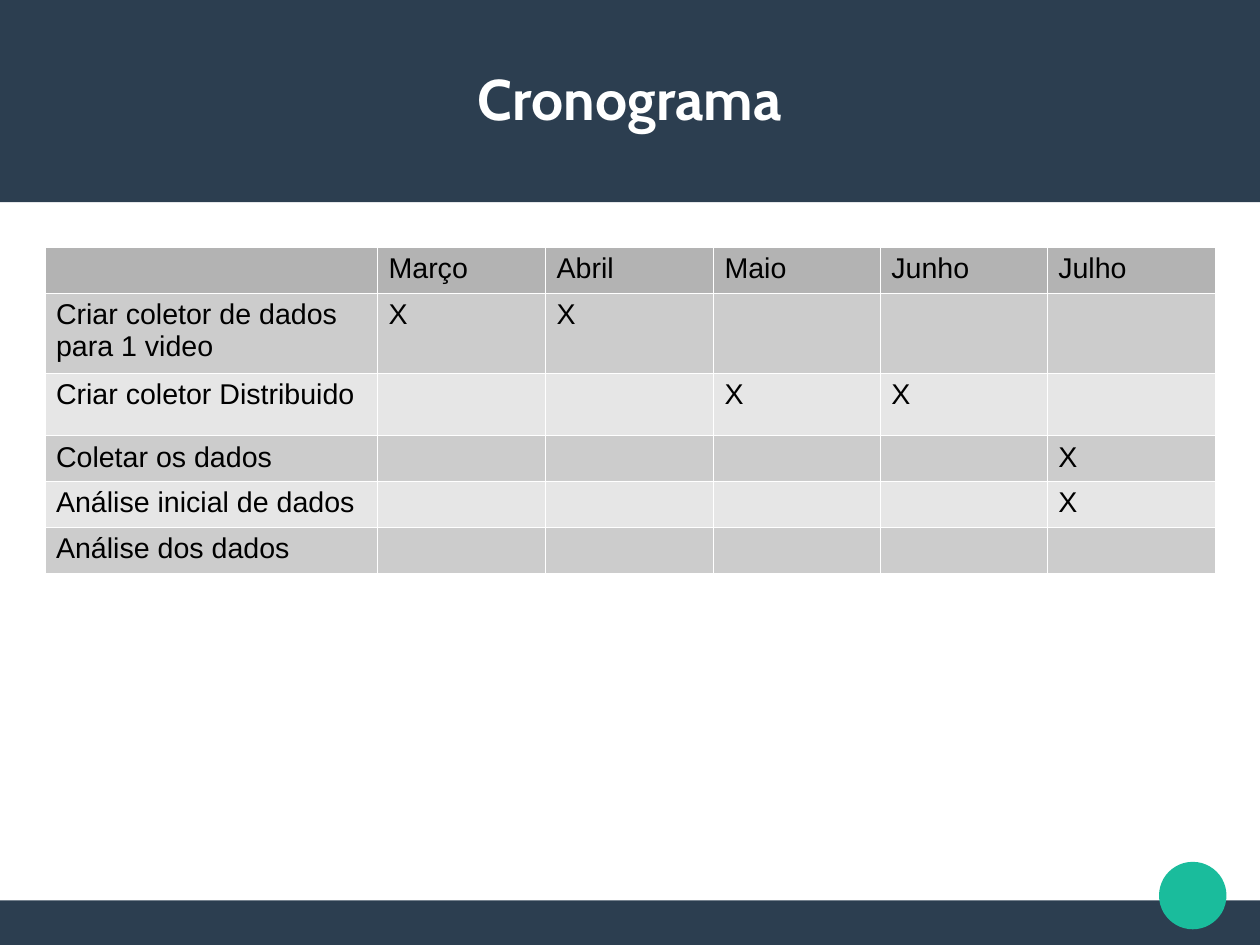
"""Build the project schedule slide with its month-by-month task table."""
import pptx
import pptx.dml.color
import pptx.enum.shapes
import pptx.enum.text
import pptx.oxml
import pptx.oxml.ns
import pptx.util
from pptx.util import Inches

TITLE = "Cronograma"
MONTHS = ["Março", "Abril", "Maio", "Junho", "Julho"]
TASKS = [
    ("Criar coletor de dados para 1 video", ["Março", "Abril"], 0.66),
    ("Criar coletor Distribuido", ["Maio", "Junho"], 0.55),
    ("Coletar os dados", ["Julho"], 0.38),
    ("Análise inicial de dados", ["Julho"], 0.38),
    ("Análise dos dados", [], 0.38),
]
HEADER_HEIGHT = 0.38
COLUMN_WIDTHS = [2.91, 1.47, 1.47, 1.46, 1.46, 1.47]
TABLE_FONT = "Arial"
TABLE_SIZE = 18

NAVY = pptx.dml.color.RGBColor(0x2C, 0x3E, 0x50)
TEAL = pptx.dml.color.RGBColor(0x1A, 0xBC, 0x9C)
WHITE = pptx.dml.color.RGBColor(0xFF, 0xFF, 0xFF)
BLACK = pptx.dml.color.RGBColor(0, 0, 0)
HEADER_GRAY = pptx.dml.color.RGBColor(0xB3, 0xB3, 0xB3)
BAND_GRAYS = [
    pptx.dml.color.RGBColor(0xCC, 0xCC, 0xCC),
    pptx.dml.color.RGBColor(0xE6, 0xE6, 0xE6),
]
SHAPE = pptx.enum.shapes.MSO_SHAPE
ALIGN = pptx.enum.text.PP_ALIGN
NAMESPACE = pptx.oxml.ns.nsdecls("a")


def write_text(frame, text, *, font, size, color, bold=False, align=ALIGN.LEFT):
    paragraph = frame.paragraphs[0]
    paragraph.alignment = align
    if text:
        run = paragraph.add_run()
        run.text = text
        run.font.name = font
        run.font.size = pptx.util.Pt(size)
        run.font.bold = bold
        run.font.color.rgb = color
    paragraph._p.append(pptx.oxml.parse_xml(
        f'<a:endParaRPr {NAMESPACE} sz="{size * 100}"><a:latin typeface="{font}"/></a:endParaRPr>'
    ))


def add_filled_shape(slide, kind, box, color):
    shape = slide.shapes.add_shape(kind, *box)
    shape.shadow.inherit = False
    shape.fill.solid()
    shape.fill.fore_color.rgb = color
    shape.line.fill.background()


def add_borders(cell, color, width):
    properties = cell._tc.get_or_add_tcPr()
    for position, side in enumerate(["lnL", "lnR", "lnT", "lnB"]):
        border = pptx.oxml.parse_xml(
            f'<a:{side} {NAMESPACE} w="{pptx.util.Pt(width)}">'
            f'<a:solidFill><a:srgbClr val="{color}"/></a:solidFill></a:{side}>'
        )
        properties.insert(position, border)


def add_title(slide):
    box = slide.shapes.add_textbox(*map(Inches, (0.39, 0.33, 10.24, 1.05)))
    frame = box.text_frame
    frame.word_wrap = True
    frame.vertical_anchor = pptx.enum.text.MSO_ANCHOR.MIDDLE
    frame.margin_left = frame.margin_right = 0
    frame.margin_top = frame.margin_bottom = 0
    write_text(frame, TITLE, font="Cabin", size=36, color=WHITE, bold=True, align=ALIGN.CENTER)


def add_schedule(slide):
    rows = [["", *MONTHS]]
    rows += [[task] + ["X" if month in active else "" for month in MONTHS] for task, active, _ in TASKS]
    heights = [HEADER_HEIGHT] + [height for _, _, height in TASKS]
    table = slide.shapes.add_table(
        len(rows), len(COLUMN_WIDTHS), Inches(0.39), Inches(2.16),
        Inches(sum(COLUMN_WIDTHS)), Inches(sum(heights)),
    ).table
    for column, width in zip(table.columns, COLUMN_WIDTHS):
        column.width = Inches(width)
    for row_index, (values, height) in enumerate(zip(rows, heights)):
        table.rows[row_index].height = Inches(height)
        fill_color = BAND_GRAYS[(row_index - 1) % 2] if row_index else HEADER_GRAY
        for column_index, value in enumerate(values):
            cell = table.cell(row_index, column_index)
            cell.fill.solid()
            cell.fill.fore_color.rgb = fill_color
            add_borders(cell, WHITE, 0.06)
            write_text(cell.text_frame, value, font=TABLE_FONT, size=TABLE_SIZE, color=BLACK)


presentation = pptx.Presentation()
presentation.slide_width = pptx.util.Cm(28)
presentation.slide_height = pptx.util.Cm(21)
slide = presentation.slides.add_slide(presentation.slide_layouts[6])
page_width = presentation.slide_width
footer_height = Inches(0.39)
footer_top = presentation.slide_height - footer_height
add_filled_shape(slide, SHAPE.RECTANGLE, (0, footer_top, page_width, footer_height), NAVY)
add_filled_shape(slide, SHAPE.RECTANGLE, (0, 0, page_width, Inches(1.77)), NAVY)
add_filled_shape(slide, SHAPE.OVAL, map(Inches, (10.14, 7.54, 0.59, 0.59)), TEAL)
add_title(slide)
add_schedule(slide)
presentation.save("out.pptx")
